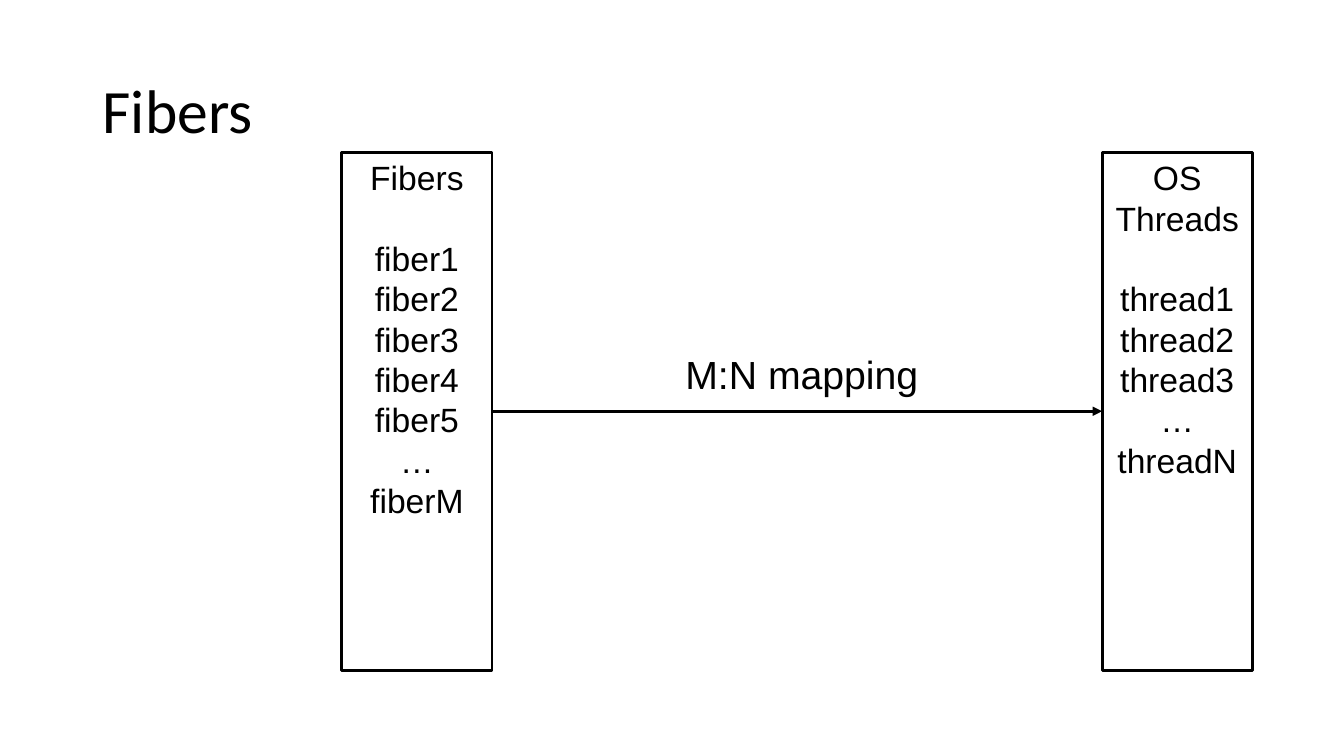
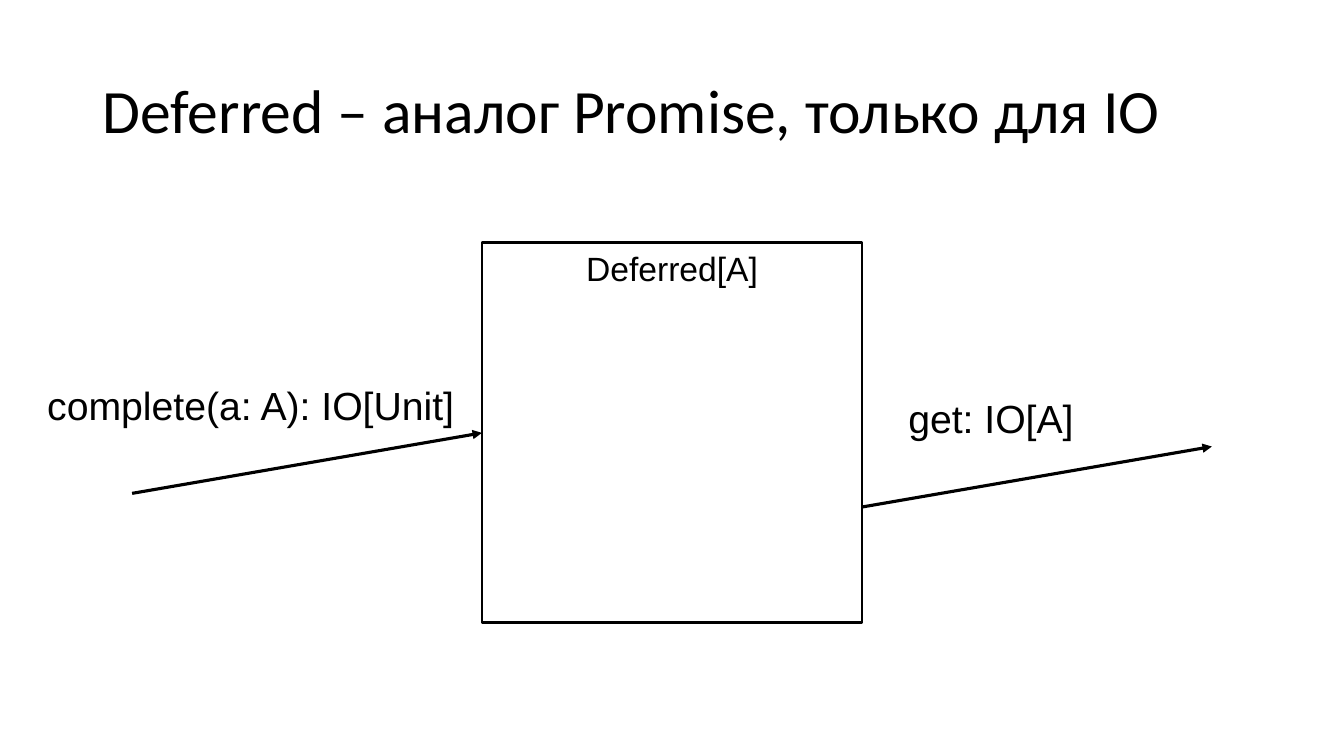
from dataclasses import dataclass

from lxml.etree import SubElement
from pptx import Presentation
from pptx.dml.color import RGBColor
from pptx.enum.shapes import MSO_CONNECTOR, MSO_SHAPE
from pptx.enum.text import MSO_ANCHOR, PP_ALIGN
from pptx.oxml.ns import qn
from pptx.shapes.autoshape import Shape
from pptx.shapes.connector import Connector
from pptx.slide import Slide
from pptx.text.text import TextFrame
from pptx.util import Inches, Length, Pt

BLACK = RGBColor(0x00, 0x00, 0x00)
WHITE = RGBColor(0xFF, 0xFF, 0xFF)
TITLE_FONT, BODY_FONT = "Calibri", "Arial"
TITLE_SIZE, LABEL_SIZE, BOX_SIZE = 44, 28, 24
BLANK_LAYOUT = 6
WIDTH, HEIGHT = Inches(13.33), Inches(7.5)
LEFT, RIGHT = 1, 3


@dataclass(frozen=True)
class Area:
    """A rectangle in percent of the slide's width and height."""
    left: float
    top: float
    width: float
    height: float

    def lengths(self) -> tuple[Length, Length, Length, Length]:
        return across(self.left), down(self.top), across(self.width), down(self.height)


@dataclass(frozen=True)
class Box:
    area: Area
    heading: str
    items: tuple[str, ...] = ()


@dataclass(frozen=True)
class Label:
    text: str
    left: float
    top: float
    width: float


TITLE_AREA = Area(6.9, 5.33, 86.25, 19.33)
LABEL_HEIGHT = 7.6

COLUMN_TOP, COLUMN_WIDTH, COLUMN_HEIGHT = 20.13, 11.18, 68.53
FIBERS = Box(Area(25.43, COLUMN_TOP, COLUMN_WIDTH, COLUMN_HEIGHT), "Fibers",
             ("fiber1", "fiber2", "fiber3", "fiber4", "fiber5", "…", "fiberM"))
THREADS = Box(Area(82, COLUMN_TOP, COLUMN_WIDTH, COLUMN_HEIGHT), "OS Threads",
              ("thread1", "thread2", "thread3", "…", "threadN"))
MAPPING = Label("M:N mapping", 50.26, 45.73, 19.05)

DEFERRED_WIDTH = 28.28
DEFERRED = Box(Area((100 - DEFERRED_WIDTH) / 2, 32.13, DEFERRED_WIDTH, 50.27), "Deferred[A]")
COMPLETE = Label("complete(a: A): IO[Unit]", 2.78, 49.73, 32.33)
GET = Label("get: IO[A]", 66.84, 51.47, 13.95)
ARROW_RUN, ARROW_RISE = 26.03, 8
GET_START = 67.07


def across(percent: float) -> Length:
    return Length(round(WIDTH * percent / 100))


def down(percent: float) -> Length:
    return Length(round(HEIGHT * percent / 100))


def style_text(tf: TextFrame, font: str, size: float) -> None:
    for p in tf.paragraphs:
        for r in p.runs:
            r.font.name = font
            r.font.size = Pt(size)
            r.font.color.rgb = BLACK


def add_slide(prs: Presentation, title: str) -> Slide:
    s = prs.slides.add_slide(prs.slide_layouts[BLANK_LAYOUT])
    tf = s.shapes.add_textbox(*TITLE_AREA.lengths()).text_frame
    tf.word_wrap = True
    tf.vertical_anchor = MSO_ANCHOR.MIDDLE
    tf.text = title
    tf.paragraphs[0].line_spacing = 0.9
    style_text(tf, TITLE_FONT, TITLE_SIZE)
    return s


def add_box(s: Slide, box: Box) -> Shape:
    sp = s.shapes.add_shape(MSO_SHAPE.RECTANGLE, *box.area.lengths())
    sp.shadow.inherit = False
    sp.fill.solid()
    sp.fill.fore_color.rgb = WHITE
    sp.line.color.rgb = BLACK
    sp.line.width = Pt(2)
    tf = sp.text_frame
    tf.word_wrap = True
    tf.vertical_anchor = MSO_ANCHOR.TOP
    tf.text = "\n".join((box.heading, *box.items))
    for p in tf.paragraphs:
        p.alignment = PP_ALIGN.CENTER
    if box.items:
        tf.paragraphs[1].space_before = Pt(1.2 * BOX_SIZE)
    style_text(tf, BODY_FONT, BOX_SIZE)
    return sp


def add_label(s: Slide, label: Label) -> None:
    area = Area(label.left, label.top, label.width, LABEL_HEIGHT)
    tf = s.shapes.add_textbox(*area.lengths()).text_frame
    tf.word_wrap = False
    tf.text = label.text
    style_text(tf, BODY_FONT, LABEL_SIZE)


def add_arrow(s: Slide, left: float, top: float, run: float, rise: float) -> Connector:
    """Draw an arrow from (left, top), going right by run and up by rise."""
    line = s.shapes.add_connector(MSO_CONNECTOR.STRAIGHT, across(left), down(top),
                                  across(left + run), down(top - rise))
    line.line.color.rgb = BLACK
    line.line.width = Pt(2.25)
    SubElement(line.line._get_or_add_ln(), qn("a:tailEnd"), type="triangle")
    SubElement(line._element.spPr, qn("a:effectLst"))
    return line


def build_fibers(prs: Presentation) -> None:
    s = add_slide(prs, "Fibers")
    threads = add_box(s, THREADS)
    fibers = add_box(s, FIBERS)
    start = FIBERS.area.left + COLUMN_WIDTH
    arrow = add_arrow(s, start, COLUMN_TOP + COLUMN_HEIGHT / 2, THREADS.area.left - start, 0)
    arrow.begin_connect(fibers, RIGHT)
    arrow.end_connect(threads, LEFT)
    add_label(s, MAPPING)


def build_deferred(prs: Presentation) -> None:
    s = add_slide(prs, "Deferred – аналог Promise, только для IO")
    sp = add_box(s, DEFERRED)
    area = DEFERRED.area
    middle = area.top + area.height / 2
    arrow = add_arrow(s, area.left - ARROW_RUN, middle + ARROW_RISE, ARROW_RUN, ARROW_RISE)
    arrow.end_connect(sp, LEFT)
    add_label(s, COMPLETE)
    add_arrow(s, area.left + area.width, GET_START, ARROW_RUN, ARROW_RISE)
    add_label(s, GET)


def main() -> None:
    prs = Presentation()
    prs.slide_width, prs.slide_height = WIDTH, HEIGHT
    build_fibers(prs)
    build_deferred(prs)
    prs.save("out.pptx")


if __name__ == "__main__":
    main()
